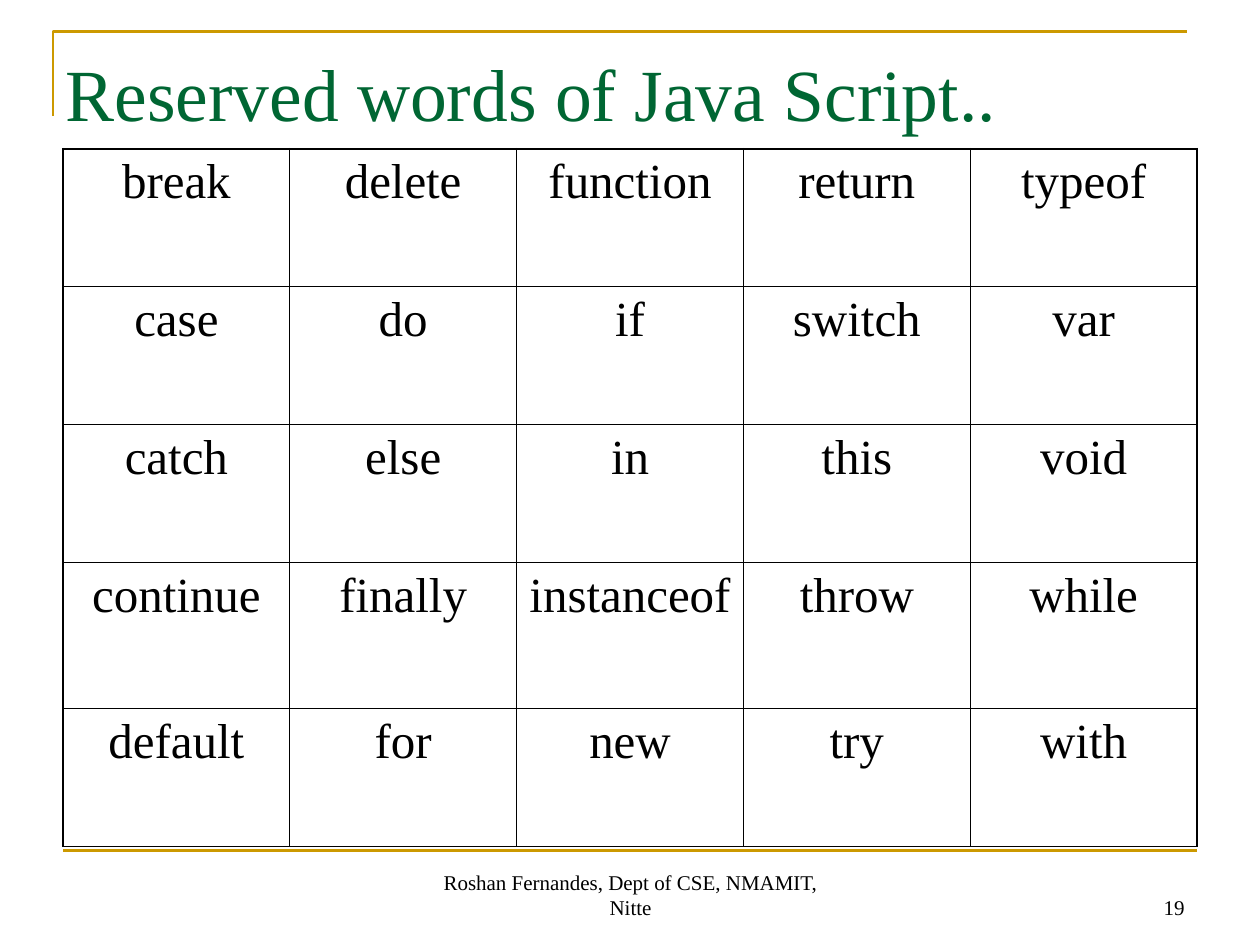
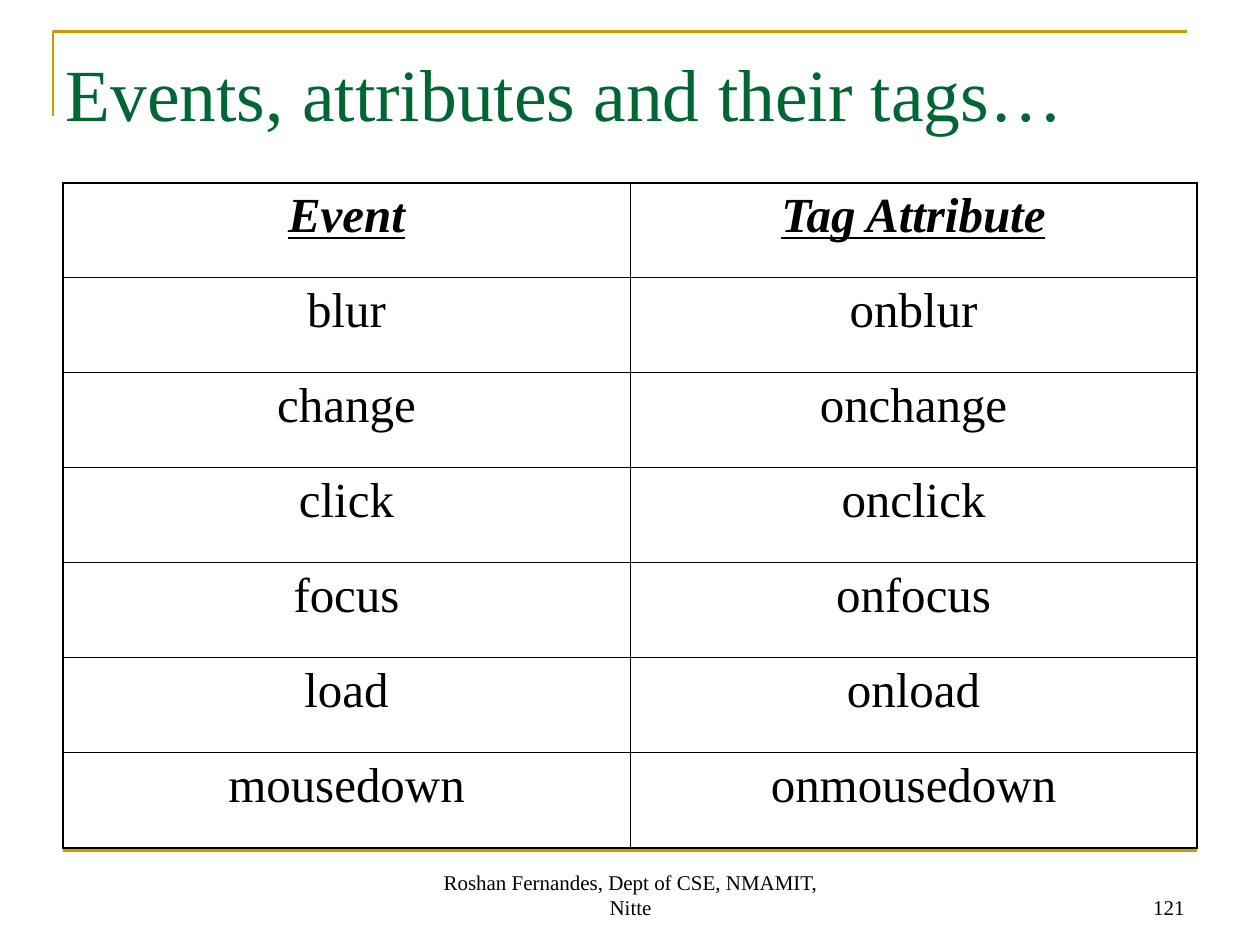
from lxml import etree
from pptx import Presentation
from pptx.dml.color import RGBColor
from pptx.enum.shapes import MSO_CONNECTOR
from pptx.enum.text import MSO_ANCHOR, PP_ALIGN
from pptx.oxml.ns import qn
from pptx.util import Inches, Pt

LEFT, MID, RIGHT = PP_ALIGN.LEFT, PP_ALIGN.CENTER, PP_ALIGN.RIGHT
TOP, LOW = MSO_ANCHOR.TOP, MSO_ANCHOR.BOTTOM
STRAIGHT = MSO_CONNECTOR.STRAIGHT

# Content
FOOTER = "Roshan Fernandes, Dept of CSE, NMAMIT, Nitte"
WORDS = [
    ("break", "delete", "function", "return", "typeof"),
    ("case", "do", "if", "switch", "var"),
    ("catch", "else", "in", "this", "void"),
    ("continue", "finally", "instanceof", "throw", "while"),
    ("default", "for", "new", "try", "with"),
]
NAMES = ["blur", "change", "click", "focus", "load", "mousedown"]
EVENTS = [("Event", "Tag Attribute")] + [(name, "on" + name) for name in NAMES]
SLIDES = [
    dict(title="Reserved words of Java Script..", page="19", rows=WORDS,
         top=1.18, highs=[1.095, 1.095, 1.095, 1.16, 1.095], head=False),
    dict(title="Events, attributes and their tags…", page="121", rows=EVENTS,
         top=1.45, highs=[5.28 / 7] * 7, head=True),
]

# Shared look
FONT = "Times New Roman"
GREEN, GOLD, BLACK = "006633", "CC9900", "000000"
THICK, THIN = 1.08, 0.45
EDGE, WIDE = 0.5, 9


def color(code):
    return RGBColor.from_string(code)


def write(frame, text, size=12, ink=BLACK, align=LEFT, strong=False):
    frame.word_wrap = True
    para = frame.paragraphs[0]
    para.alignment = align
    run = para.add_run()
    run.text = text
    font = run.font
    font.name, font.size, font.color.rgb = FONT, Pt(size), color(ink)
    font.bold = font.italic = font.underline = strong


def label(slide, text, left, width, align):
    box = slide.shapes.add_textbox(Inches(left), Inches(6.83),
                                   Inches(width), Inches(0.52))
    box.text_frame.vertical_anchor = LOW
    write(box.text_frame, text, align=align)


def stroke(line):
    line.color.rgb = color(GOLD)
    line.width = Pt(1.5)


def dress(slide, title, page):
    # Corner frame and bottom rule
    pen = slide.shapes.build_freeform(Inches(0.42), Inches(0.92))
    pen.add_line_segments([(Inches(0.42), Inches(0.25)),
                           (Inches(9.42), Inches(0.25))], close=False)
    frame = pen.convert_to_shape()
    frame.shadow.inherit = False
    frame.fill.background()
    stroke(frame.line)
    rule = slide.shapes.add_connector(STRAIGHT, Inches(EDGE), Inches(6.75),
                                      Inches(EDGE + WIDE), Inches(6.75))
    stroke(rule.line)
    etree.SubElement(rule._element.spPr, qn("a:effectLst"))

    # Title
    head = slide.shapes.title
    head.left, head.top = Inches(0.42), Inches(0.25)
    head.width, head.height = Inches(9), Inches(0.95)
    text = head.text_frame
    text.vertical_anchor = TOP
    text.margin_top, text.margin_bottom = Inches(0.13), 0
    write(text, title, size=42, ink=GREEN)

    # Footer and page number
    label(slide, FOOTER, 3.42, 3.17, MID)
    label(slide, page, 7.17, 2.33, RIGHT)


def border(cell, sides):
    props = cell._tc.get_or_add_tcPr()
    for side, width in sides.items():
        line = etree.SubElement(props, qn("a:ln" + side), w=str(Pt(width)))
        fill = etree.SubElement(line, qn("a:solidFill"))
        etree.SubElement(fill, qn("a:srgbClr"), val=BLACK)


def grid(slide, rows, top, highs, head):
    down, across = len(rows), len(rows[0])
    table = slide.shapes.add_table(down, across, Inches(EDGE), Inches(top),
                                   Inches(WIDE), Inches(sum(highs))).table
    table.first_row = table.horz_banding = False
    for col in table.columns:
        col.width = Inches(WIDE / across)
    for r, (row, high) in enumerate(zip(rows, highs)):
        table.rows[r].height = Inches(high)
        for c, text in enumerate(row):
            cell = table.cell(r, c)
            outer = dict(L=c == 0, R=c == across - 1, T=r == 0, B=r == down - 1)
            border(cell, {side: THICK if out else THIN
                          for side, out in outer.items()})
            cell.fill.background()
            write(cell.text_frame, text, size=28, align=MID,
                  strong=head and r == 0)


def main():
    deck = Presentation()
    deck.slide_width, deck.slide_height = Inches(10), Inches(7.5)
    for item in SLIDES:
        slide = deck.slides.add_slide(deck.slide_layouts[5])
        dress(slide, item["title"], item["page"])
        grid(slide, item["rows"], item["top"], item["highs"], item["head"])
    deck.save("out.pptx")


if __name__ == "__main__":
    main()
